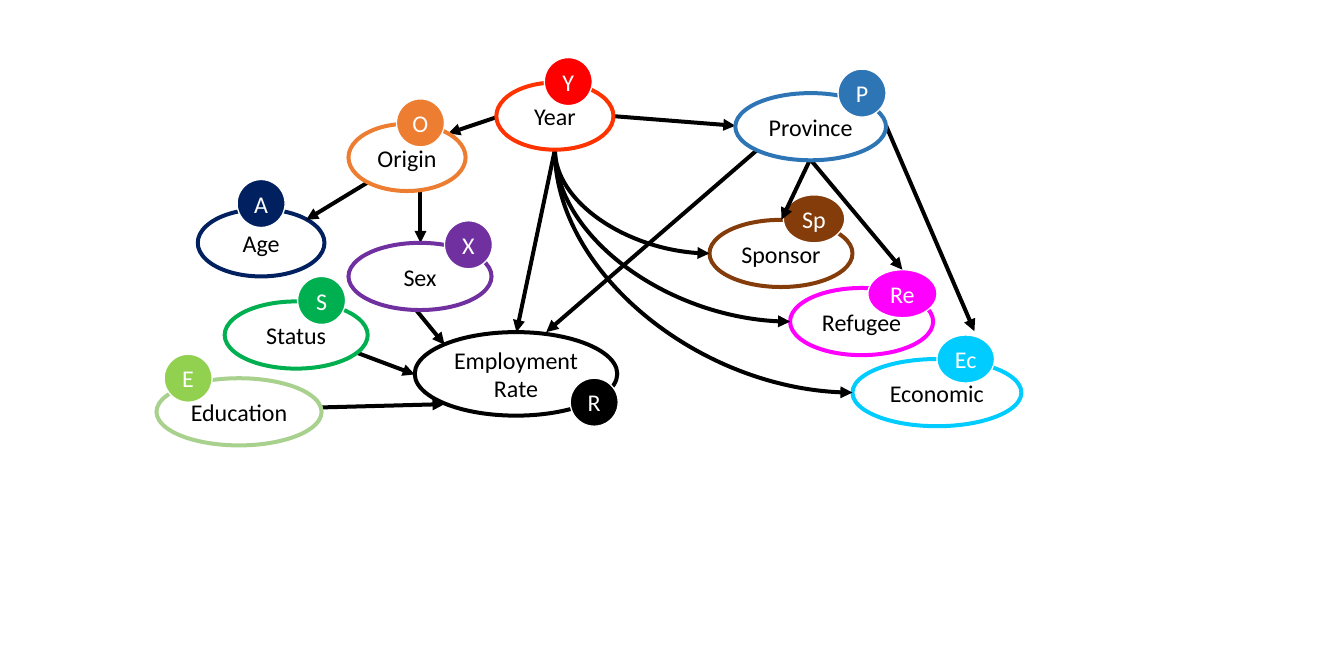
import pptx
import pptx.util
import pptx.dml.color
import pptx.enum.shapes
import pptx.enum.text
import pptx.oxml
import pptx.oxml.ns
from pptx.util import Inches

prs = pptx.Presentation()
prs.slide_width, prs.slide_height = Inches(14), Inches(7)
s = prs.slides.add_slide(prs.slide_layouts[6])


def rgb(color):
    return pptx.dml.color.RGBColor.from_string(color)


def ellipse(text, x, y, w, h, fill="FFFFFF", line="FFFFFF", weight=3, color="000000"):
    sp = s.shapes.add_shape(pptx.enum.shapes.MSO_SHAPE.OVAL,
                            Inches(x), Inches(y), Inches(w), Inches(h))
    sp.shadow.inherit = False
    sp.fill.solid()
    sp.fill.fore_color.rgb = rgb(fill)
    sp.line.color.rgb = rgb(line)
    sp.line.width = pptx.util.Pt(weight)
    tf = sp.text_frame
    tf.word_wrap = True
    tf.margin_left = tf.margin_right = tf.margin_top = tf.margin_bottom = 0
    tf.vertical_anchor = pptx.enum.text.MSO_ANCHOR.MIDDLE
    p = tf.paragraphs[0]
    p.alignment = pptx.enum.text.PP_ALIGN.CENTER
    r = p.add_run()
    r.text = text
    r.font.name, r.font.size = "Calibri", pptx.util.Pt(18)
    r.font.color.rgb = rgb(color)


# Nodes: name, left, top, width, height, outline,
# then badge letter, left, top, width, fill
target_nodes = [
    ("Employment Rate", 4.32, 3.46, 2.11, 0.87, "000000", "R", 5.94, 3.94, 0.5, "000000"),
    ("Sponsor", 7.39, 2.29, 1.49, 0.7, "843C0B", "Sp", 8.16, 2.03, 0.64, "843C0B"),
    ("Economic", 8.88, 3.74, 1.76, 0.7, "00CCFF", "Ec", 9.76, 3.49, 0.6, "00CCFF"),
    ("Refugee", 8.23, 3, 1.49, 0.7, "FF00FF", "Re", 9.04, 2.81, 0.72, "FF00FF"),
    ("Age", 2.06, 2.18, 1.32, 0.7, "002060", "A", 2.47, 1.87, 0.5, "002060"),
]
source_nodes = [
    ("Province", 7.66, 0.97, 1.57, 0.7, "2E75B6", "P", 8.73, 0.72, 0.5, "2E75B6"),
    ("Origin", 3.63, 1.29, 1.22, 0.7, "ED7D31", "O", 4.13, 1.03, 0.5, "ED7D31"),
    ("Education", 1.63, 3.94, 1.72, 0.7, "A9D18E", "E", 1.71, 3.69, 0.5, "92D050"),
    ("Status", 2.34, 3.14, 1.49, 0.7, "00B050", "S", 3.1, 2.88, 0.5, "00B050"),
    ("Sex", 3.63, 2.53, 1.49, 0.7, "7030A0", "X", 4.63, 2.3, 0.5, "7030A0"),
    ("Year", 5.17, 0.86, 1.22, 0.7, "FF3300", "Y", 5.67, 0.6, 0.5, "FF0000"),
]

# Arrows: curved or not, start x, start y, end x, end y
arrows = [
    (True, 5.78, 1.56, 7.39, 2.64),   # Year to Sponsor
    (True, 5.78, 1.56, 8.88, 4.09),   # Year to Economic
    (True, 5.78, 1.56, 8.23, 3.35),   # Year to Refugee
    (False, 8.44, 1.66, 8.14, 2.29),  # Province to Sponsor
    (False, 8.44, 1.66, 9.4, 2.81),   # Province to Refugee
    (False, 9.23, 1.31, 10.15, 3.45), # Province to Economic
    (False, 6.39, 1.21, 7.66, 1.31),  # Year to Province
    (False, 5.74, 1.03, 4.67, 1.39),  # Year to Origin
    (False, 4.38, 1.53, 4.38, 2.53),  # Origin to Sex
    (False, 4.67, 1.39, 3.19, 2.29),  # Origin to Age
    (False, 1.63, 4.29, 4.63, 4.21),  # Education to Employment Rate
    (False, 2.56, 3.24, 4.32, 3.9),   # Status to Employment Rate
    (False, 3.85, 2.64, 4.63, 3.59),  # Sex to Employment Rate
    (False, 5.78, 1.56, 5.38, 3.46),  # Year to Employment Rate
    (False, 7.89, 1.56, 5.69, 3.46),  # Province to Employment Rate
]

# Layers from back to front: targets, arrows, sources
for layer in (target_nodes, arrows, source_nodes):
    if layer is not arrows:
        for name, x, y, w, h, outline, letter, bx, by, bw, fill in layer:
            ellipse(name, x, y, w, h, line=outline)
            ellipse(letter, bx, by, bw, 0.5, fill=fill, weight=1, color="FFFFFF")
        continue
    for curved, x1, y1, x2, y2 in arrows:
        kind = pptx.enum.shapes.MSO_CONNECTOR.STRAIGHT
        if curved:
            # The box is a quarter turn of the span, about the same centre
            kind = pptx.enum.shapes.MSO_CONNECTOR.CURVE
            cx, cy, dx, dy = (x1 + x2) / 2, (y1 + y2) / 2, x2 - x1, y2 - y1
            x1, y1, x2, y2 = cx + dy / 2, cy - dx / 2, cx - dy / 2, cy + dx / 2
        c = s.shapes.add_connector(kind, Inches(x1), Inches(y1), Inches(x2), Inches(y2))
        c.line.color.rgb = rgb("000000")
        c.line.width = pptx.util.Pt(3)
        spPr = c._element.spPr
        if curved:
            spPr.find(pptx.oxml.ns.qn("a:xfrm")).set("rot", "16200000")
            spPr.find(pptx.oxml.ns.qn("a:prstGeom")).set("prst", "curvedConnector2")
        ns = pptx.oxml.ns.nsdecls("a")
        c.line._get_or_add_ln().append(
            pptx.oxml.parse_xml(f'<a:tailEnd {ns} type="triangle"/>'))
        spPr.append(pptx.oxml.parse_xml(f"<a:effectLst {ns}/>"))

prs.save("out.pptx")
